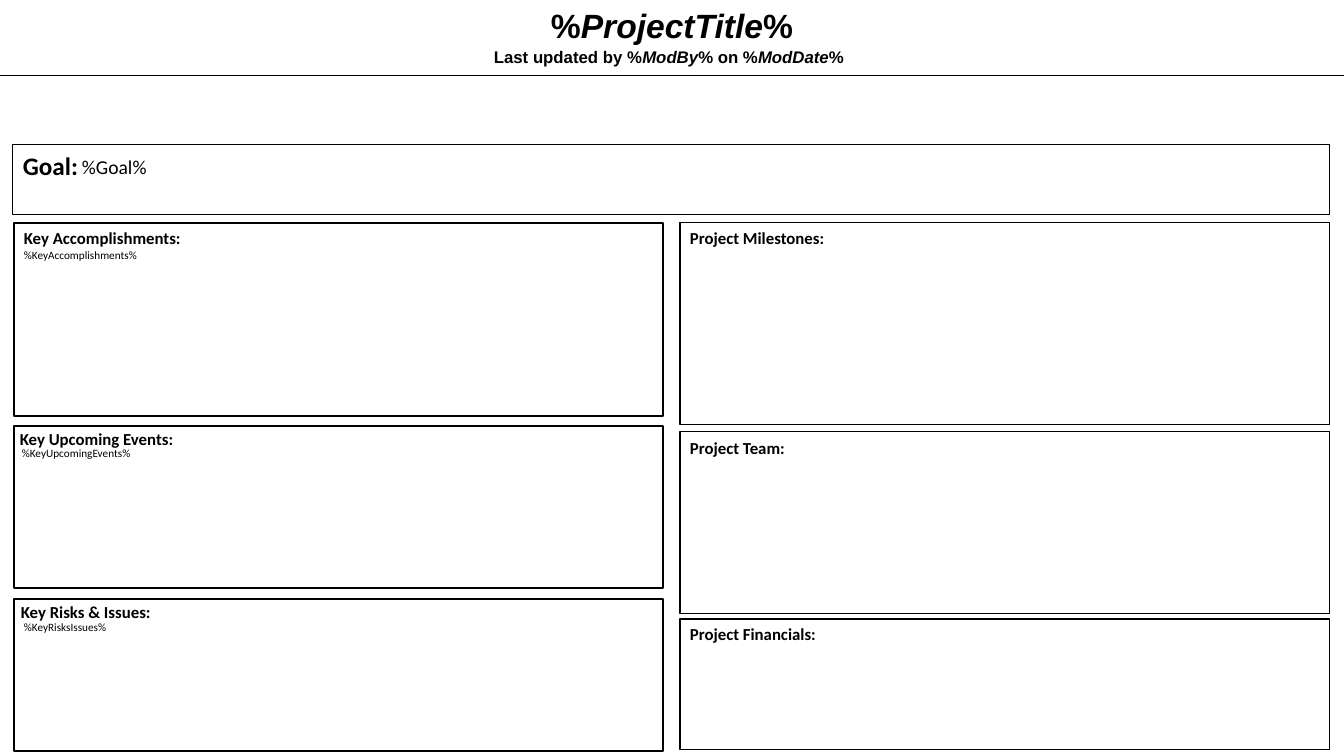
from pptx import Presentation
from pptx.dml.color import RGBColor
from pptx.enum import shapes, text
from pptx.oxml import parse_xml
from pptx.oxml.ns import nsdecls
from pptx.util import Emu, Pt

BLACK = RGBColor(0, 0, 0)
SCALE = 914400 / 100.8


def px(*lengths):
    return [Emu(round(length * SCALE)) for length in lengths]


def write(words, place=None, box=None, size=12, font="Calibri", bold=True, align=None):
    """Write into box, or a new text box at place; * switches italics on and off."""
    if box is None:
        box = page.shapes.add_textbox(*px(*place))
    frame = box.text_frame
    frame.word_wrap = True
    frame.vertical_anchor = text.MSO_ANCHOR.TOP
    para = frame.paragraphs[0]
    para.alignment = align or text.PP_ALIGN.LEFT
    for index, part in enumerate(words.split("*")):
        span = para.add_run()
        span.text = part
        span.font.name = font
        span.font.size = Pt(size)
        span.font.bold = bold
        span.font.italic = index % 2 == 1
        span.font.color.rgb = BLACK


deck = Presentation()
deck.slide_width, deck.slide_height = px(1344, 756)
page = deck.slides.add_slide(deck.slide_layouts[6])

# Header
write("%*ProjectTitle*%", (0, 0, 1344, 50), size=24, font="Arial",
      align=text.PP_ALIGN.CENTER)
write("Last updated by %*ModBy*% on %*ModDate*%", (484, 42, 497, 30), font="Arial")
rule = page.shapes.add_connector(shapes.MSO_CONNECTOR.STRAIGHT, *px(0, 75, 1344, 75))
rule.line.color.rgb = BLACK
rule.line.width = Pt(0.5)
rule._element.spPr.append(parse_xml(f"<a:effectLst {nsdecls('a')}/>"))

# Panel frames: left, top, width, height, line width
LEFT, LEFT_WIDTH = 14, 649
RIGHT, RIGHT_WIDTH = 680, 650
panels = {
    "goal": (13, 145, 1317, 70, 0.75),
    "accomplishments": (LEFT, 223, LEFT_WIDTH, 193, 1),
    "events": (LEFT, 426, LEFT_WIDTH, 162, 1),
    "risks": (LEFT, 599, LEFT_WIDTH, 152, 1),
    "milestones": (RIGHT, 223, RIGHT_WIDTH, 202, 0.75),
    "team": (RIGHT, 432, RIGHT_WIDTH, 182, 0.75),
    "financials": (RIGHT, 619, RIGHT_WIDTH, 131, 0.75),
}
frames = {}
for name, (*place, weight) in panels.items():
    panel = page.shapes.add_shape(shapes.MSO_SHAPE.RECTANGLE, *px(*place))
    panel.shadow.inherit = False
    panel.fill.background()
    panel.line.color.rgb = BLACK
    panel.line.width = Pt(weight)
    frames[name] = panel

# Goal
write("Goal:", box=frames["goal"], size=18)
write("%Goal%", (72, 150, 1250, 34), size=14, bold=False)

# Left column: heading and its field
for heading, left, top, field, field_left, field_top in [
    ("Key Accomplishments:", 14, 223, "%KeyAccomplishments%", 14, 243),
    ("Key Upcoming Events:", 10, 424, "%KeyUpcomingEvents%", 12, 441),
    ("Key Risks & Issues:", 11, 597, "%KeyRisksIssues%", 14, 615),
]:
    write(heading, (left, top, LEFT_WIDTH, 30))
    write(field, (field_left, field_top, LEFT_WIDTH, 24), size=8, bold=False)

# Right column: headings
for heading, top in [("Project Milestones:", 223), ("Project Team:", 433),
                     ("Project Financials:", 619)]:
    write(heading, (RIGHT, top, 212, 30))

deck.save("out.pptx")
